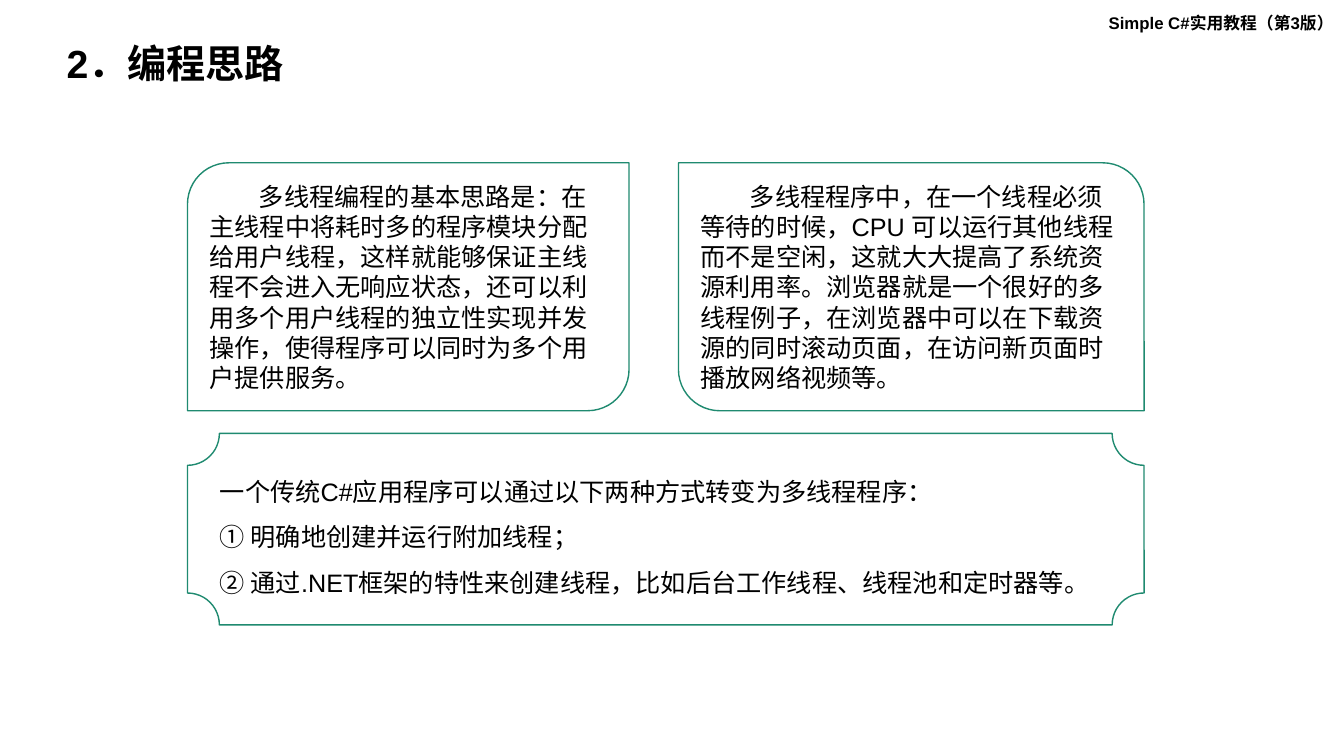
"""Build the slide on the approach to multithreaded programming."""
from pptx import Presentation
from pptx.dml.color import RGBColor
from pptx.enum.shapes import MSO_SHAPE as Shape
from pptx.enum.text import MSO_ANCHOR as Anchor, MSO_AUTO_SIZE as AutoSize, PP_ALIGN as Align
from pptx.util import Pt

COLORS = {"text": "000000", "fill": "FFFFFF", "line": "1F8A70"}
BOX_LEFT, BOX_RIGHT = 133.9, 817.2


def write_text(shape, text, size, bold=False, spacing=1.0, indent=0, anchor=Anchor.MIDDLE):
    frame = shape.text_frame
    frame.text = text
    frame.word_wrap = True
    frame.auto_size = AutoSize.NONE
    frame.vertical_anchor = anchor
    for paragraph in frame.paragraphs:
        paragraph.alignment = Align.LEFT
        paragraph.line_spacing = spacing
        paragraph.space_before = Pt(0)
        if indent:
            paragraph._p.get_or_add_pPr().set("indent", str(Pt(indent)))
        for run in paragraph.runs:
            run.font.name = "Arial"
            run.font.size = Pt(size)
            run.font.bold = bold
            run.font.color.rgb = RGBColor.from_string(COLORS["text"])


def add_box(kind, left, top, width, height):
    box = slide.shapes.add_shape(kind, Pt(left), Pt(top), Pt(width), Pt(height))
    box.shadow.inherit = False
    box.fill.solid()
    box.fill.fore_color.rgb = RGBColor.from_string(COLORS["fill"])
    box.line.color.rgb = RGBColor.from_string(COLORS["line"])
    box.line.width = Pt(1)
    return box


presentation = Presentation()
presentation.slide_width, presentation.slide_height = Pt(960), Pt(540)
slide = presentation.slides.add_slide(presentation.slide_layouts[5])

title = slide.shapes.title
title.left, title.top, title.width, title.height = Pt(40.3), Pt(28.1), Pt(389.5), Pt(37.4)
write_text(title, "2．编程思路", 28, bold=True, spacing=0.9)

book_name = slide.shapes.add_textbox(Pt(784.8), Pt(5.4), Pt(175.2), Pt(21.6))
write_text(book_name, "Simple C#实用教程（第3版）", 12, bold=True, anchor=Anchor.TOP)

ideas = [
    (BOX_LEFT, 315.4, (0.16667, 0),
     "多线程编程的基本思路是：在主线程中将耗时多的程序模块分配给用户线程，"
     "这样就能够保证主线程不会进入无响应状态，还可以利用多个用户线程的独立性实现并发操作，"
     "使得程序可以同时为多个用户提供服务。"),
    (484.6, BOX_RIGHT - 484.6, (0, 0.16667),
     "多线程程序中，在一个线程必须等待的时候，CPU 可以运行其他线程而不是空闲，"
     "这就大大提高了系统资源利用率。浏览器就是一个很好的多线程例子，"
     "在浏览器中可以在下载资源的同时滚动页面，在访问新页面时播放网络视频等。"),
]
for left, width, corners, text in ideas:
    idea_box = add_box(Shape.ROUND_2_DIAG_RECTANGLE, left, 116.3, width, 177.1)
    idea_box.adjustments[0], idea_box.adjustments[1] = corners
    write_text(idea_box, text, 18, indent=35.3)

methods = [
    "一个传统C#应用程序可以通过以下两种方式转变为多线程程序：",
    "① 明确地创建并运行附加线程；",
    "② 通过.NET框架的特性来创建线程，比如后台工作线程、线程池和定时器等。",
]
methods_box = add_box(Shape.PLAQUE, BOX_LEFT, 309.6, BOX_RIGHT - BOX_LEFT, 136.8)
write_text(methods_box, "\n".join(methods), 18, spacing=1.5)

presentation.save("out.pptx")
